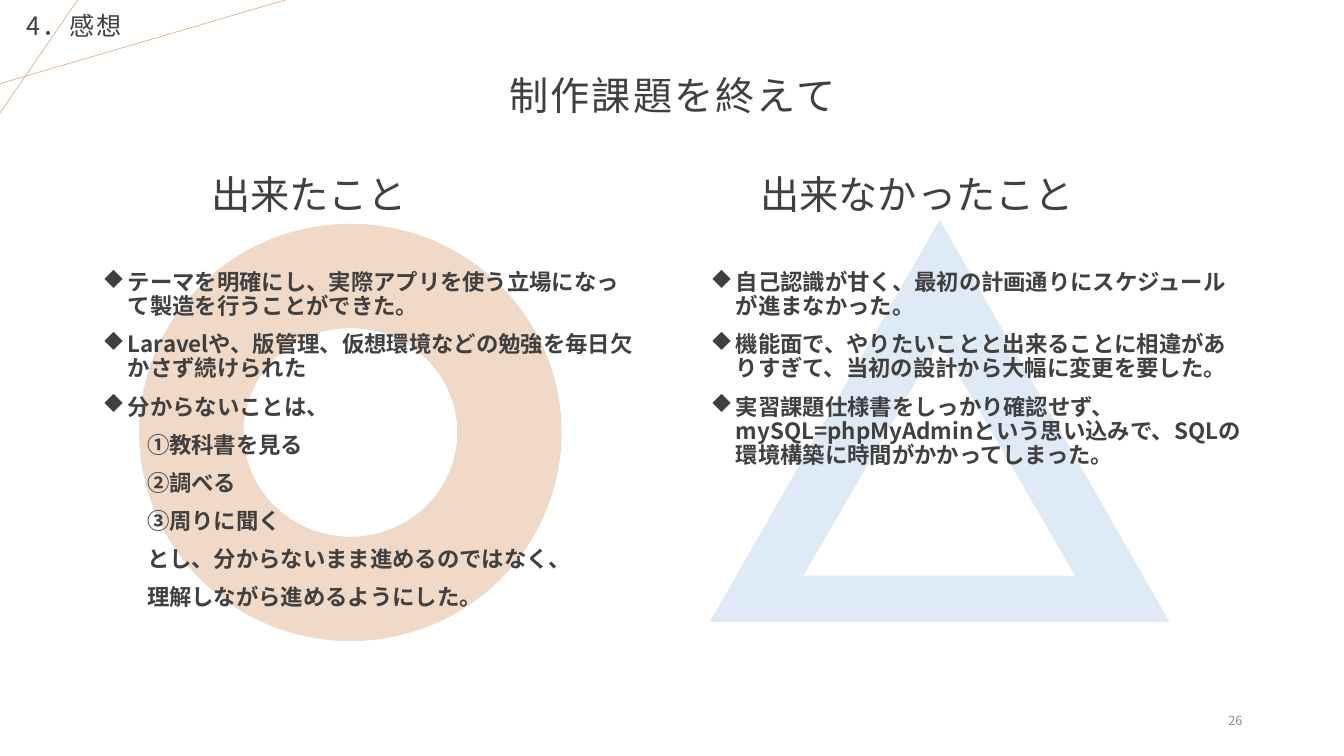
"""Build the closing reflections slide: what went well and what did not."""
from lxml import etree
from pptx import Presentation
from pptx.dml.color import RGBColor
from pptx.enum.shapes import MSO_CONNECTOR, MSO_SHAPE
from pptx.enum.text import MSO_ANCHOR, PP_ALIGN
from pptx.oxml.ns import qn
from pptx.util import Inches, Pt

DONUT, TRIANGLE = MSO_SHAPE.DONUT, MSO_SHAPE.ISOSCELES_TRIANGLE
STRAIGHT = MSO_CONNECTOR.STRAIGHT
TOP, MIDDLE = MSO_ANCHOR.TOP, MSO_ANCHOR.MIDDLE
LEFT, CENTER, RIGHT = PP_ALIGN.LEFT, PP_ALIGN.CENTER, PP_ALIGN.RIGHT

FONT = "Noto Sans CJK JP"
COLORS = {
    "text": "404040",
    "number": "8C8C8C",
    "accent": "E2B18D",
    "circle": "F1D9C8",
    "triangle": "DEEBF7",
    "hole": "FFFFFF",
}

prs = Presentation()
prs.slide_width, prs.slide_height = Inches(13.33), Inches(7.5)
slide = prs.slides.add_slide(prs.slide_layouts[6])


def add_text(place, lines, size, align=LEFT, anchor=TOP, color="text",
             bold=False, tracking=0, line_spacing=0.9):
    """Add a text box and return its paragraphs."""
    frame = slide.shapes.add_textbox(*map(Inches, place)).text_frame
    frame.word_wrap = True
    frame.vertical_anchor = anchor
    for index, line in enumerate(lines):
        paragraph = frame.add_paragraph() if index else frame.paragraphs[0]
        layout = {"alignment": align, "line_spacing": line_spacing,
                  "space_before": Pt(10 if index else 0)}
        for name, value in layout.items():
            setattr(paragraph, name, value)
        run = paragraph.add_run()
        run.text = line
        for name, value in {"name": FONT, "size": Pt(size), "bold": bold}.items():
            setattr(run.font, name, value)
        run.font.color.rgb = RGBColor.from_string(COLORS[color])
        properties = run.font._element
        etree.SubElement(properties, qn("a:ea"), typeface=FONT)
        if tracking:
            properties.set("spc", str(int(tracking * 100)))
    return frame.paragraphs


def set_indent(paragraph, margin, bullet):
    """Indent a paragraph, with a hanging diamond if it is a bullet."""
    properties = paragraph._p.get_or_add_pPr()
    properties.set("marL", str(Inches(margin)))
    properties.set("indent", str(Inches(-margin if bullet else 0)))
    if bullet:
        etree.SubElement(properties, qn("a:buFont"), typeface="Wingdings")
        etree.SubElement(properties, qn("a:buChar"), char="u")
    else:
        etree.SubElement(properties, qn("a:buNone"))


for ends in [(0, 0.83, 2.83, 0), (0.77, 0, 0, 1.12)]:
    corner_line = slide.shapes.add_connector(STRAIGHT, *map(Inches, ends))
    corner_line.line.color.rgb = RGBColor.from_string(COLORS["accent"])
    corner_line.line.width = Pt(0.5)
    etree.SubElement(corner_line._element.spPr, qn("a:effectLst"))

marks = [
    (DONUT, (1.38, 2.22, 4.19, 4.14), "circle"),
    (TRIANGLE, (7.04, 2.18, 4.56, 3.99), "triangle"),
    (TRIANGLE, (7.97, 3.39, 2.69, 2.32), "hole"),
]
for kind, place, color in marks:
    mark = slide.shapes.add_shape(kind, *map(Inches, place))
    mark.shadow.inherit = False
    mark.fill.solid()
    mark.fill.fore_color.rgb = RGBColor.from_string(COLORS[color])
    mark.line.fill.background()

add_text((0.16, 0.09, 2.88, 0.37), ["4．感想"], 18, tracking=1.5)
add_text((0.92, 0.67, 11.5, 0.6), ["制作課題を終えて"], 28, CENTER, MIDDLE, tracking=1.5)
add_text((9.42, 6.95, 3, 0.4), ["26"], 9, RIGHT, MIDDLE, "number", line_spacing=1.0)

columns = [
    (0.92, "出来たこと", [
        "テーマを明確にし、実際アプリを使う立場になって製造を行うことができた。",
        "Laravelや、版管理、仮想環境などの勉強を毎日欠かさず続けられた",
        "分からないことは、",
    ], [
        "①教科書を見る",
        "②調べる",
        "③周りに聞く",
        "とし、分からないまま進めるのではなく、",
        "理解しながら進めるようにした。",
    ]),
    (6.95, "出来なかったこと", [
        "自己認識が甘く、最初の計画通りにスケジュールが進まなかった。",
        "機能面で、やりたいことと出来ることに相違がありすぎて、当初の設計から大幅に変更を要した。",
        "実習課題仕様書をしっかり確認せず、mySQL=phpMyAdminという思い込みで、SQLの環境構築に時間がかかってしまった。",
    ], []),
]
for left, heading, points, steps in columns:
    add_text((left, 1.69, 4.29, 0.6), [heading], 28, CENTER)
    paragraphs = add_text((left, 2.64, 5.47, 3.52), points + steps, 16, bold=True)
    for index, paragraph in enumerate(paragraphs):
        is_point = index < len(points)
        set_indent(paragraph, 0.25 if is_point else 0.44, is_point)

prs.save("out.pptx")
